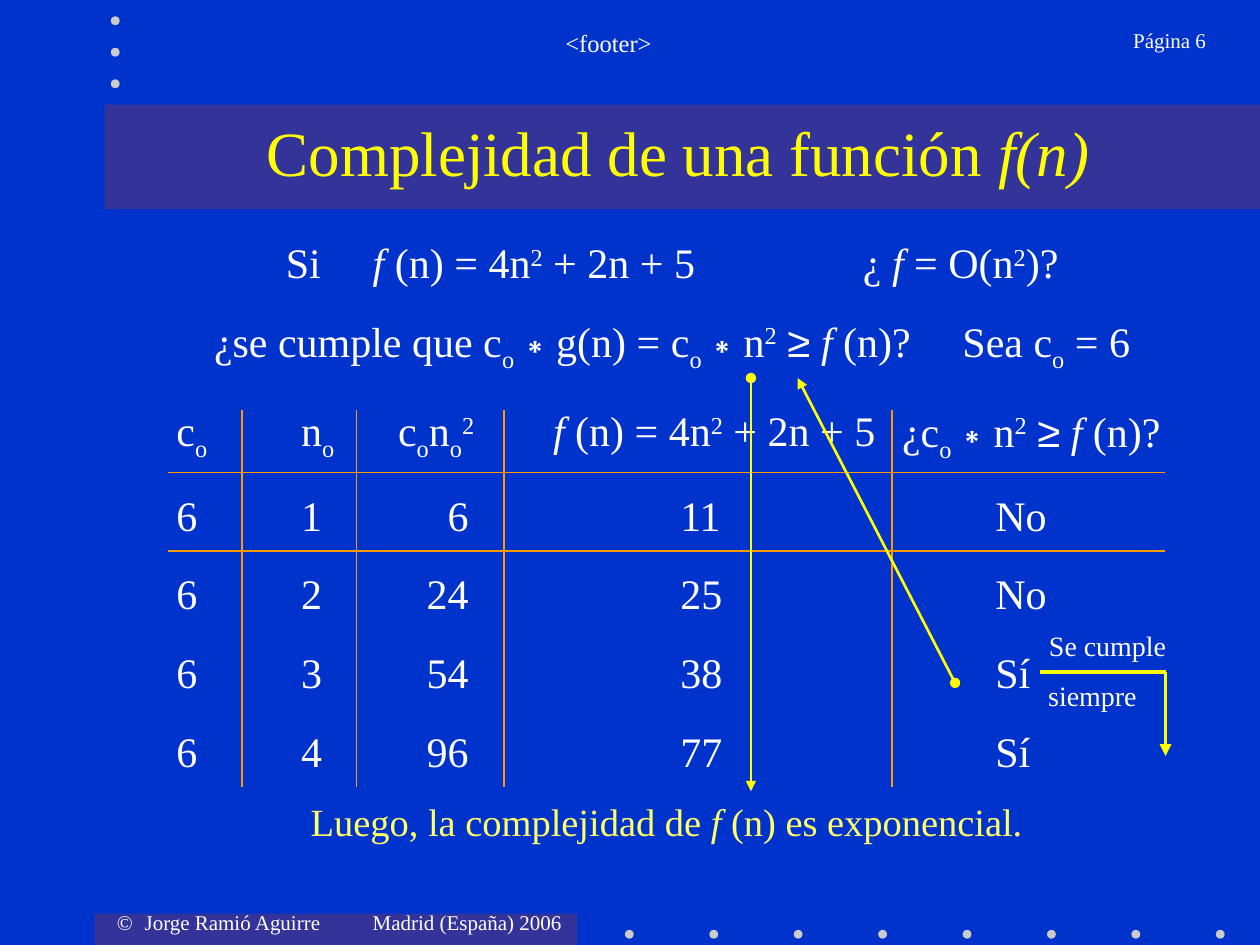
from dataclasses import dataclass

import pptx
import pptx.dml.color
import pptx.enum.shapes
import pptx.enum.text
import pptx.oxml
import pptx.oxml.ns
import pptx.util
from lxml import etree

Inches = pptx.util.Inches
Pt = pptx.util.Pt
Align = pptx.enum.text.PP_ALIGN
Anchor = pptx.enum.text.MSO_ANCHOR
Preset = pptx.enum.shapes.MSO_SHAPE
qn = pptx.oxml.ns.qn


@dataclass(frozen=True)
class Theme:
    background: str = "0033CC"
    panel: str = "333399"
    dot: str = "CBCBCB"
    text: str = "FFFFFF"
    accent: str = "FFFF00"
    conclusion: str = "FFFF66"
    rule: str = "FF9900"
    font: str = "Times New Roman"
    symbol_font: str = "Arial"
    title_size: float = 36
    body_size: float = 24
    conclusion_size: float = 22
    note_size: float = 16
    footer_size: float = 14
    small_size: float = 12


@dataclass(frozen=True)
class Box:
    left: float
    top: float
    width: float
    height: float

    def area(self, dx, dy, width, height):
        return Box(self.left + dx, self.top + dy, width, height)

    def emu(self):
        return [Inches(v) for v in (self.left, self.top, self.width, self.height)]


THEME = Theme()
SYMBOLS = "∗≥"
NO_STYLE = "{2D5ABB26-0587-4C30-8999-92F81FD0307C}"


def rgb(color):
    return pptx.dml.color.RGBColor.from_string(color)


def write(paragraph, markup, size, color=THEME.text, align=Align.LEFT):
    """Write a formula: ~ toggles italics, ^ and _ raise and lower one character."""
    paragraph.alignment = align
    font = paragraph.font
    font.name, font.size, font.color.rgb = THEME.font, Pt(size), rgb(color)
    pieces, italic, shift = [], False, 0
    for char in markup:
        if char == "~":
            italic = not italic
        elif char in "^_":
            shift = 30000 if char == "^" else -25000
        else:
            style = (italic, shift, char in SYMBOLS)
            if pieces and pieces[-1][0] == style:
                pieces[-1][1].append(char)
            else:
                pieces.append((style, [char]))
            shift = 0
    for (slanted, offset, symbol), chars in pieces:
        run = paragraph.add_run()
        run.text = "".join(chars)
        if slanted:
            run.font.italic = True
        if offset:
            run.font._element.set("baseline", str(offset))
        if symbol:
            run.font.name = THEME.symbol_font


def set_tabs(paragraph, stops):
    tabs = etree.Element(qn("a:tabLst"))
    for stop in stops:
        etree.SubElement(tabs, qn("a:tab"), pos=str(Inches(stop)), algn="l")
    properties = paragraph._p.get_or_add_pPr()
    default_run = properties.find(qn("a:defRPr"))
    default_run.addprevious(tabs)


def add_text(slide, box, markup, size, color=THEME.text, align=Align.CENTER,
             anchor=Anchor.TOP):
    frame = slide.shapes.add_textbox(*box.emu()).text_frame
    frame.word_wrap = True
    frame.vertical_anchor = anchor
    write(frame.paragraphs[0], markup, size, color, align)
    return frame


def add_plain(slide, preset, box, color):
    shape = slide.shapes.add_shape(preset, *box.emu())
    shape.shadow.inherit = False
    shape.fill.solid()
    shape.fill.fore_color.rgb = rgb(color)
    shape.line.fill.background()


def add_line(slide, start, end, width, head=None, tail=None):
    line = slide.shapes.add_connector(
        pptx.enum.shapes.MSO_CONNECTOR.STRAIGHT, *[Inches(v) for v in start + end])
    line.line.color.rgb = rgb(THEME.accent)
    line.line.width = Pt(width)
    for tag, kind in (("a:headEnd", head), ("a:tailEnd", tail)):
        if kind:
            etree.SubElement(line.line._get_or_add_ln(), qn(tag), type=kind)
    etree.SubElement(line._element.spPr, qn("a:effectLst"))


def add_dots(slide, box, count, dx, dy):
    for i in range(count):
        add_plain(slide, Preset.OVAL,
                  box.area(i * dx, i * dy, box.width, box.height), THEME.dot)


def add_header(slide, box):
    add_dots(slide, box.area(0.88, 0.13, 0.07, 0.07), 3, 0, 0.25)
    add_text(slide, box.area(1.58, 0.17, 6.5, 0.5), "<footer>", THEME.footer_size)
    add_text(slide, box.area(8.3, 0.17, 1.37, 0.5), "Página 6", THEME.small_size,
             align=Align.RIGHT)


def add_title(slide, box):
    add_plain(slide, Preset.RECTANGLE, box, THEME.panel)
    title = slide.shapes.title
    title.left, title.top, title.width, title.height = box.area(0.09, 0, 8.92, 0.75).emu()
    title.text_frame.vertical_anchor = Anchor.MIDDLE
    write(title.text_frame.paragraphs[0], "Complejidad de una función ~f(n)~",
          THEME.title_size, THEME.accent, Align.CENTER)
    # Keep the title text in front of its panel
    slide.shapes._spTree.append(title._element)


def add_question(slide, box):
    frame = add_text(slide, box, "\tSi\t~f~ (n) = 4n^2 + 2n + 5\t¿ ~f~ = O(n^2)?",
                     THEME.body_size, align=Align.LEFT)
    set_tabs(frame.paragraphs[0], (0.57, 1.26, 5.15))
    condition = frame.add_paragraph()
    write(condition, "¿se cumple que c_o∗g(n) = c_o∗n^2 ≥ ~f~ (n)?\tSea c_o = 6",
          THEME.body_size)
    condition.space_before = Pt(16.2)
    set_tabs(condition, (5.94,))


def add_border(side):
    border = etree.Element(qn(f"a:ln{side}"), w=str(Pt(1)))
    fill = etree.SubElement(border, qn("a:solidFill"))
    etree.SubElement(fill, qn("a:srgbClr"), val=THEME.rule)
    return border


def add_values(slide, box):
    rows = [("c_o", "n_o", "c_on_o^2", "~f~ (n) = 4n^2 + 2n + 5", "¿c_o∗n^2 ≥ ~f~ (n)?"),
            ("6", "1", "6", "11", "No"), ("6", "2", "24", "25", "No"),
            ("6", "3", "54", "38", "Sí"), ("6", "4", "96", "77", "Sí")]
    widths = (0.59, 0.91, 1.17, 3.08, 2.17)
    header_indents = (0.07, 0.47, 0.33, 0.39, 0.08)
    value_indents = (0.07, 0.47, 0, 1.4, 0.82)
    header_height = 0.5
    table = slide.shapes.add_table(len(rows), len(widths), *box.emu()).table
    table.first_row = table.horz_banding = False
    table._tbl.tblPr.find(qn("a:tableStyleId")).text = NO_STYLE
    for column, width in zip(table.columns, widths):
        column.width = Inches(width)
    for r, values in enumerate(rows):
        header = r == 0
        table.rows[r].height = Inches(
            header_height if header else (box.height - header_height) / (len(rows) - 1))
        for c, value in enumerate(values):
            cell = table.cell(r, c)
            product = c == 2 and not header
            cell.margin_left = Inches((header_indents if header else value_indents)[c])
            cell.margin_right = Inches(0.28 if product else 0)
            cell.margin_top = Inches(0 if header else 0.08)
            cell.margin_bottom = 0
            cell.vertical_anchor = Anchor.TOP if header else Anchor.MIDDLE
            cell.fill.background()
            write(cell.text_frame.paragraphs[0], value, THEME.body_size,
                  align=Align.RIGHT if product else Align.LEFT)
            # Rules between columns and below the header
            sides = (("L", c > 0), ("R", c < len(widths) - 1), ("T", r == 1), ("B", header))
            borders = [add_border(side) for side, shown in sides if shown]
            for i, border in enumerate(borders):
                cell._tc.get_or_add_tcPr().insert(i, border)


def add_always_note(slide, box):
    corner = (box.left + 1.17, box.top + 0.39)
    add_line(slide, (box.left + 0.17, box.top + 0.39), corner, 2.25)
    add_line(slide, corner, (box.left + 1.17, box.top + 1.06), 2.25, tail="triangle")
    for words, place in (("Se cumple", box.area(0, 0, 1.42, 0.37)),
                         ("siempre", box.area(0.09, 0.39, 1, 0.37))):
        add_text(slide, place, words, THEME.note_size, anchor=Anchor.MIDDLE)


def add_conclusion(slide, box):
    add_text(slide, box, "Luego, la complejidad de ~f~ (n) es exponencial.",
             THEME.conclusion_size, THEME.conclusion, anchor=Anchor.MIDDLE)


def add_credit(slide, box):
    add_plain(slide, Preset.RECTANGLE, box, THEME.panel)
    frame = add_text(slide, box.area(0.08, -0.08, 3.9, 0.34),
                     "©\tJorge Ramió Aguirre\tMadrid (España) 2006",
                     THEME.small_size, align=Align.LEFT)
    set_tabs(frame.paragraphs[0], (0.22, 2.03))
    add_dots(slide, box.area(4.21, 0.13, 0.07, 0.07), 8, 0.67, 0)


def main():
    deck = pptx.Presentation()
    deck.slide_width, deck.slide_height = Inches(10), Inches(7.5)
    slide = deck.slides.add_slide(deck.slide_layouts[5])
    slide.background.fill.solid()
    slide.background.fill.fore_color.rgb = rgb(THEME.background)
    add_header(slide, Box(0, 0, 10, 0.83))
    add_title(slide, Box(0.83, 0.83, 9.17, 0.83))
    add_question(slide, Box(1.6, 1.83, 7.98, 1.3))
    add_values(slide, Box(1.33, 3.25, 7.92, 3))
    add_always_note(slide, Box(8.08, 4.94, 1.42, 1.06))
    add_conclusion(slide, Box(2.08, 6.28, 6.42, 0.47))
    # Arrows from the growing term and from the first row that holds
    add_line(slide, (5.96, 3), (5.96, 6.28), 1.5, "oval", "triangle")
    add_line(slide, (7.58, 5.42), (6.33, 3), 1.5, "oval", "triangle")
    add_credit(slide, Box(0.75, 7.25, 3.83, 0.25))
    deck.save("out.pptx")


if __name__ == "__main__":
    main()
